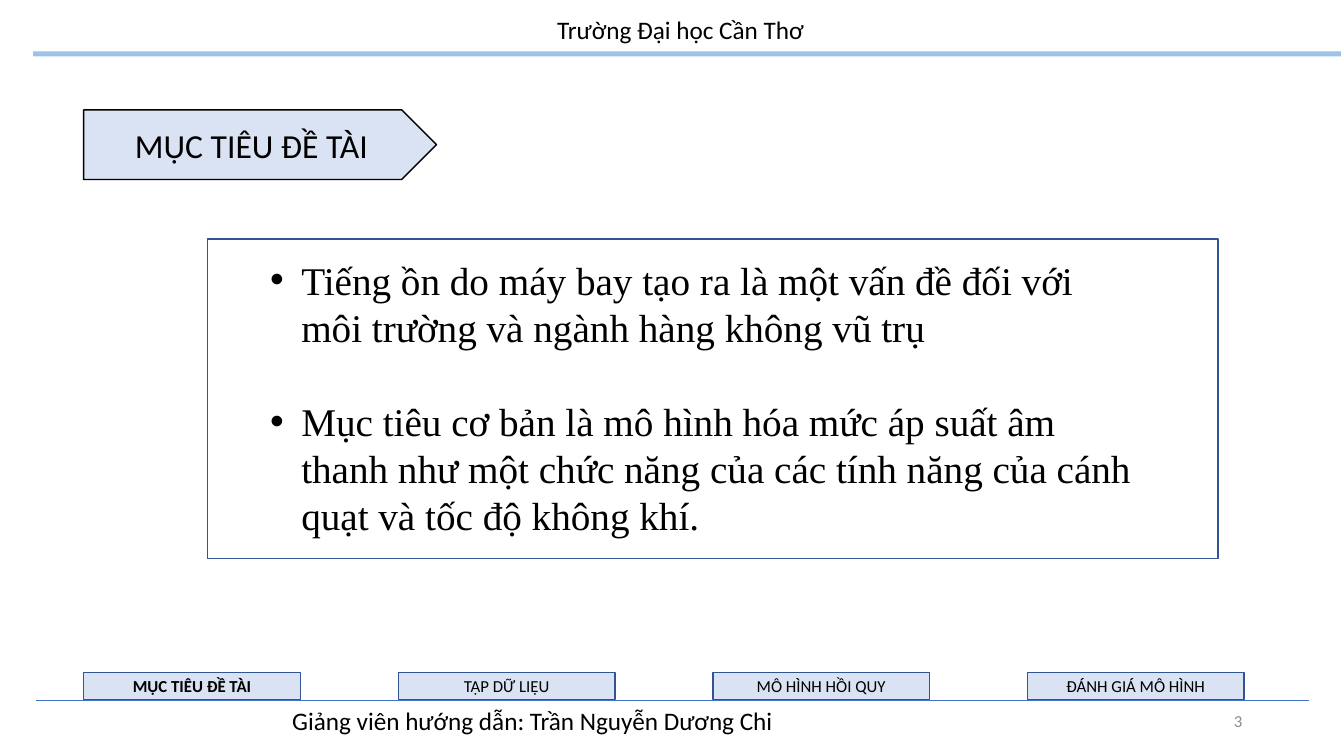
"""Build the project-goals slide with its header, goal box and section tabs."""
import pptx
import pptx.util
import pptx.dml.color
import pptx.enum.shapes
import pptx.enum.text
import pptx.oxml.ns
import lxml.etree

HEADER = "Trường Đại học Cần Thơ"
TITLE = "MỤC TIÊU ĐỀ TÀI"
GOALS = [
    "Tiếng ồn do máy bay tạo ra là một vấn đề đối với môi trường và ngành hàng không vũ trụ",
    "Mục tiêu cơ bản là mô hình hóa mức áp suất âm thanh như một chức năng của các "
    "tính năng của cánh quạt và tốc độ không khí.",
]
TABS = [TITLE, "TẠP DỮ LIỆU", "MÔ HÌNH HỒI QUY", "ĐÁNH GIÁ MÔ HÌNH"]
FOOTER = "Giảng viên hướng dẫn: Trần Nguyễn Dương Chi"
PAGE_NUMBER = "3"

COLORS = {"bar": "9DC3E6", "rule": "4472C4", "pale": "DAE3F3",
          "edge": "325491", "text": "000000", "number": "8C8C8C"}
LEFT = 0.83
TAB_WIDTH, TAB_STEP = 2.15, 3.12
FOOT_TOP = 6.95
BULLET_INDENT = 0.31

inches = pptx.util.Inches
points = pptx.util.Pt
shapes_enum = pptx.enum.shapes.MSO_SHAPE
align = pptx.enum.text.PP_ALIGN
anchor = pptx.enum.text.MSO_ANCHOR


def rgb(name):
    return pptx.dml.color.RGBColor.from_string(COLORS[name])


def write(box, texts, size, font="Calibri", color="text", bold=False,
          alignment=align.CENTER, vertical=anchor.MIDDLE):
    frame = box.text_frame
    frame.word_wrap = True
    frame.vertical_anchor = vertical
    for index, text in enumerate(texts):
        para = frame.add_paragraph() if index else frame.paragraphs[0]
        para.alignment = alignment
        span = para.add_run()
        span.text = text
        span.font.color.rgb = rgb(color)
        for key, value in {"size": points(size), "name": font, "bold": bold}.items():
            setattr(span.font, key, value)
    return frame.paragraphs


def add_text(place, texts, size, **style):
    box = page.shapes.add_textbox(*map(inches, place))
    return write(box, texts, size, **style)


def add_block(place, kind=shapes_enum.RECTANGLE, fill=None, edge=None):
    block = page.shapes.add_shape(kind, *map(inches, place))
    block.shadow.inherit = False
    if fill:
        block.fill.solid()
        block.fill.fore_color.rgb = rgb(fill)
    else:
        block.fill.background()
    if edge:
        block.line.color.rgb = rgb(edge)
        block.line.width = points(1)
    else:
        block.line.fill.background()
    return block


def add_bullet(para):
    properties = para._p.get_or_add_pPr()
    indent = inches(BULLET_INDENT)
    for key, value in {"marL": indent, "indent": -indent}.items():
        properties.set(key, str(value))
    for tag, key, value in [("a:buFont", "typeface", "Arial"), ("a:buChar", "char", "•")]:
        lxml.etree.SubElement(properties, pptx.oxml.ns.qn(tag)).set(key, value)


deck = pptx.Presentation()
deck.slide_width, deck.slide_height = inches(13.33), inches(7.5)
page = deck.slides.add_slide(deck.slide_layouts[6])

add_block((0.33, 0.51, 12.97, 0.05), fill="bar")
add_text((2.83, 0.07, 7.84, 0.44), [HEADER], 18)

rule = page.shapes.add_connector(pptx.enum.shapes.MSO_CONNECTOR.STRAIGHT,
                                 *map(inches, (0.36, FOOT_TOP, 12.98, FOOT_TOP)))
rule.line.color.rgb = rgb("rule")
rule.line.width = points(0.5)
lxml.etree.SubElement(rule._element.spPr, pptx.oxml.ns.qn("a:effectLst"))

add_text((2.8, FOOT_TOP, 7.65, 0.4), [FOOTER], 18,
         alignment=align.LEFT, vertical=anchor.TOP)
add_text((9.42, FOOT_TOP, 3, 0.4), [PAGE_NUMBER], 12,
         color="number", alignment=align.RIGHT)

for column, label in enumerate(TABS):
    tab = add_block((LEFT + column * TAB_STEP, 6.67, TAB_WIDTH, 0.27),
                    fill="pale", edge="edge")
    write(tab, [label], 12, bold=label == TITLE)

banner = add_block((LEFT, 1.09, 3.5, 0.69), shapes_enum.PENTAGON, "pale", "text")
write(banner, [TITLE], 24)

add_block((2.06, 2.37, 10.02, 3.17), edge="edge")
goals = add_text((2.58, 2.49, 8.78, 2.93), GOALS, 28, font="Times New Roman",
                 alignment=align.LEFT, vertical=anchor.TOP)
goals[1].space_before = points(33.6)
for goal in goals:
    add_bullet(goal)

deck.save("out.pptx")
